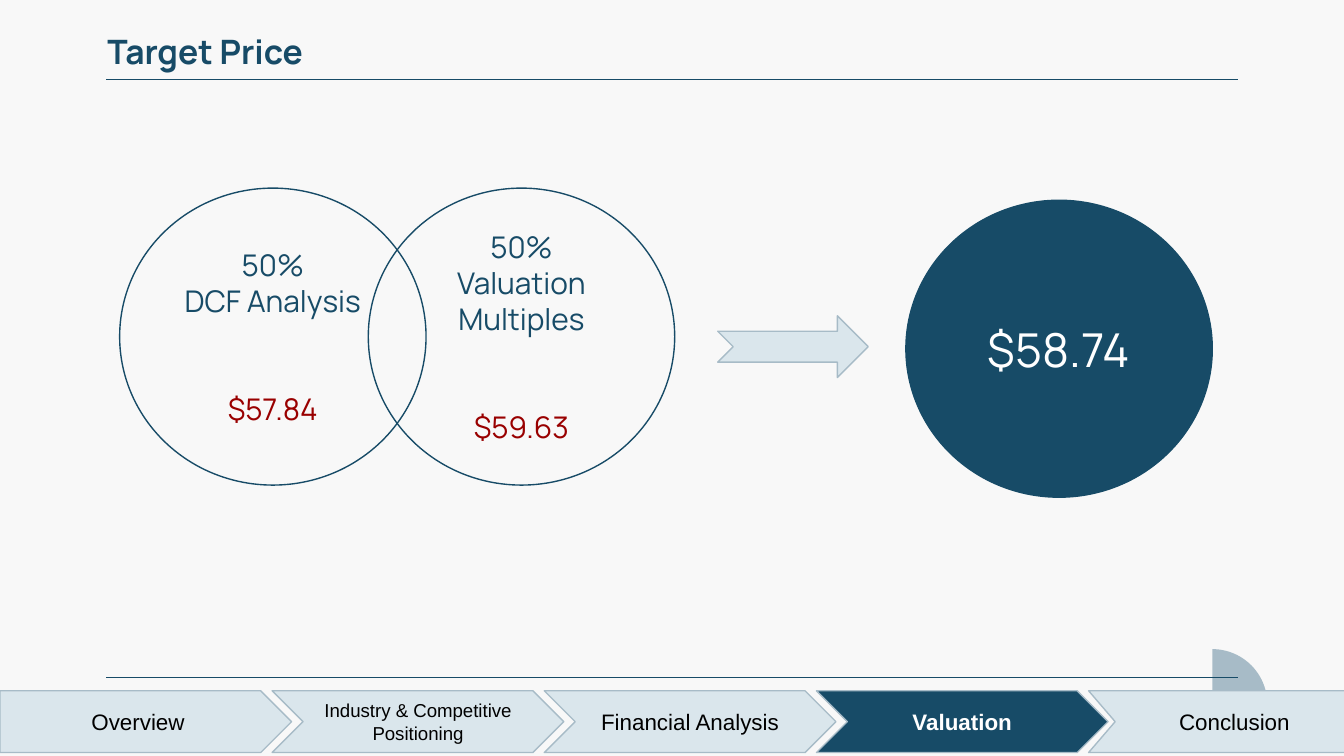
from math import cos, pi, sin

from lxml import etree
from pptx import Presentation
from pptx.dml.color import RGBColor
from pptx.enum.shapes import MSO_CONNECTOR, MSO_SHAPE as SHP
from pptx.enum.text import MSO_ANCHOR, PP_ALIGN
from pptx.oxml.ns import qn
from pptx.util import Inches, Pt

COLORS = {"bg": "F8F8F8", "navy": "174B67", "pale": "DAE6EC", "grey": "A7BBC7",
          "red": "990000", "black": "000000", "white": "FFFFFF"}

prs = Presentation()
prs.slide_width, prs.slide_height = Inches(10), Inches(5.625)
W, H = 10, 5.625
s = prs.slides.add_slide(prs.slide_layouts[6])
s.background.fill.solid()
s.background.fill.fore_color.rgb = RGBColor.from_string(COLORS["bg"])


def add_shape(kind, x, y, w, h, fill, line):
    sp = s.shapes.add_shape(kind, Inches(x), Inches(y), Inches(w), Inches(h))
    sp.shadow.inherit = False
    if fill:
        sp.fill.solid()
        sp.fill.fore_color.rgb = RGBColor.from_string(COLORS[fill])
    else:
        sp.fill.background()
    sp.line.color.rgb = RGBColor.from_string(COLORS[line])
    sp.line.width = Pt(0.75)
    return sp


def set_text(sp, lines, size, font, align=PP_ALIGN.CENTER, anchor=MSO_ANCHOR.MIDDLE, bold=False):
    """Write (text, color) lines, one paragraph each."""
    tf = sp.text_frame
    tf.word_wrap = True
    tf.vertical_anchor = anchor
    tf.margin_left = tf.margin_right = tf.margin_top = tf.margin_bottom = Inches(0.1)
    tf.text = "\n".join(text for text, _ in lines)
    for p, (_, color) in zip(tf.paragraphs, lines):
        p.alignment = align
        r = p.runs[0]
        r.font.size, r.font.name, r.font.bold = Pt(size), font, bold
        r.font.color.rgb = RGBColor.from_string(COLORS[color])


# Quarter disc in the lower right corner
cx, cy, radius = 9.02, 5.24, 0.41
arc = [(Inches(cx + radius * sin(a)), Inches(cy - radius * cos(a)))
       for a in (i * pi / 48 for i in range(25))]
fb = s.shapes.build_freeform(Inches(cx), Inches(cy))
fb.add_line_segments(arc, close=True)
quarter = fb.convert_to_shape()
quarter.shadow.inherit = False
quarter.fill.solid()
quarter.fill.fore_color.rgb = RGBColor.from_string(COLORS["grey"])
quarter.line.fill.background()

# Rules above and below the content
margin = 0.79
for y in (0.59, 5.04):
    rule = s.shapes.add_connector(MSO_CONNECTOR.STRAIGHT, Inches(margin), Inches(y),
                                  Inches(W - margin), Inches(y))
    rule.line.color.rgb = RGBColor.from_string(COLORS["navy"])
    rule.line.width = Pt(0.75)
    etree.SubElement(rule._element.spPr, qn("a:effectLst"))

# Title
title = s.shapes.add_textbox(Inches(0.7), Inches(0.13), Inches(4.79), Inches(0.45))
set_text(title, [("Target Price", "navy")], 18, "Manrope",
         PP_ALIGN.LEFT, MSO_ANCHOR.TOP, bold=True)

# Navigation bar, one step per section
step, tab_w, tab_h = 0.2025 * W, 2.17, 0.46
tabs = [("Overview", 12), ("Industry & Competitive Positioning", 10),
        ("Financial Analysis", 12), ("Valuation", 12), ("Conclusion", 12)]
for i, (label, size) in enumerate(tabs):
    active = label == "Valuation"
    sp = add_shape(SHP.CHEVRON if i else SHP.PENTAGON, i * step, H - 0.485, tab_w, tab_h,
                   "navy" if active else "pale", "grey")
    sp.adjustments[0] = 0.43 if label == "Conclusion" else 0.5
    set_text(sp, [(label, "white" if active else "black")], size, "Arial", bold=active)

# Overlapping circles, one per valuation method
disc_w, disc_h = 2.28, 2.21
for x, method, price in ((2.74, "Valuation Multiples", "$59.63"),
                         (0.89, "DCF Analysis", "$57.84")):
    sp = add_shape(SHP.OVAL, x, 1.4, disc_w, disc_h, None, "navy")
    set_text(sp, [("50%", "navy"), (method, "navy"), (price, "red")], 16, "Manrope")
    sp.text_frame.paragraphs[2].space_before = Pt(38.5)

# Arrow to the resulting price
add_shape(SHP.NOTCHED_RIGHT_ARROW, 5.34, 2.35, 1.12, 0.46, "pale", "grey")
result = add_shape(SHP.OVAL, 6.74, 1.49, disc_w, disc_h, "navy", "navy")
set_text(result, [("$58.74", "white")], 25, "Manrope")

prs.save("out.pptx")
